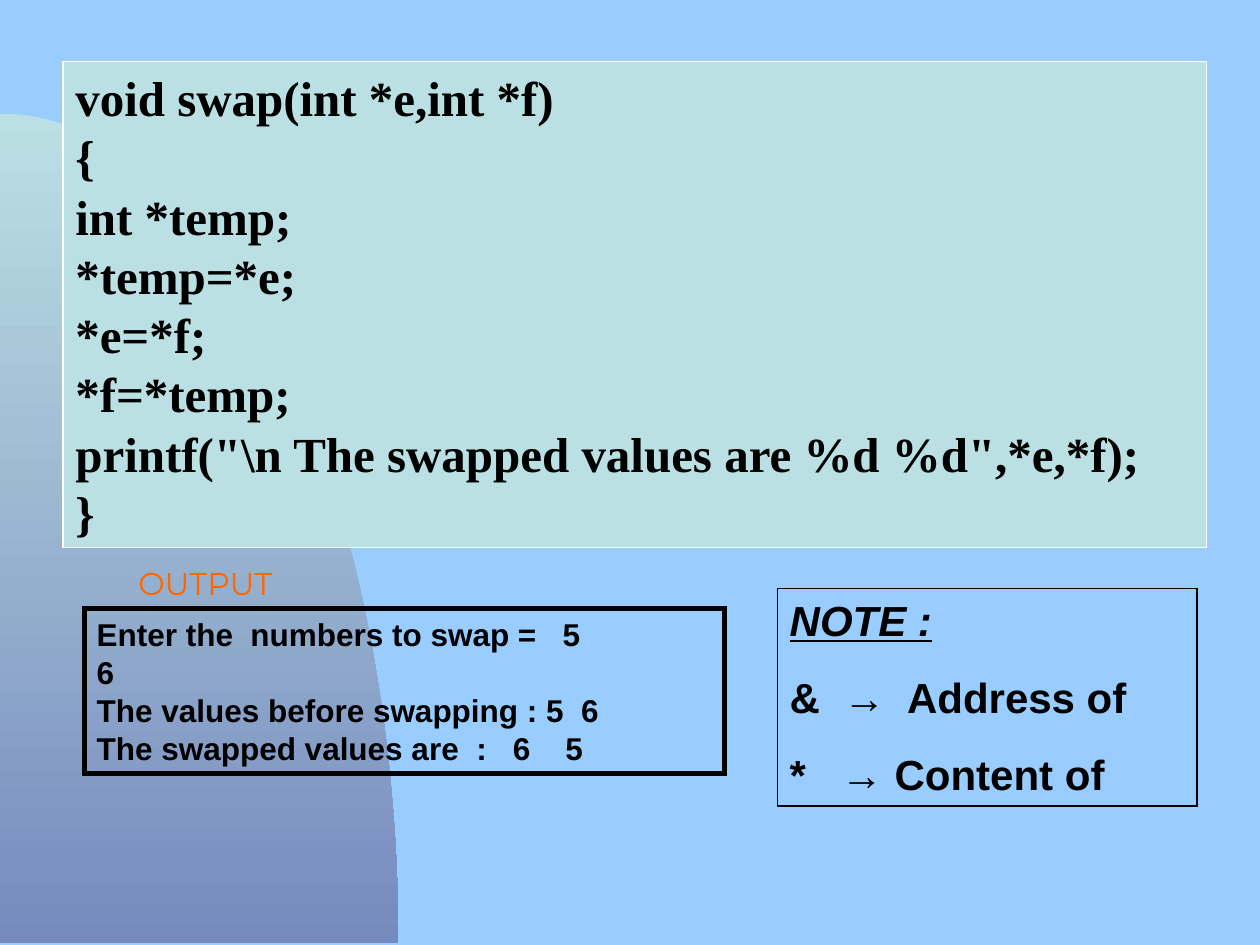
import math

from lxml import etree
from pptx import Presentation
from pptx import util as u
from pptx.dml.color import RGBColor
from pptx.enum import shapes, text
from pptx.oxml import ns

COLORS = {
    "sky": "99CCFF",
    "mint": "BBE0E3",
    "dusk": "778ABE",
    "black": "000000",
    "white": "FFFFFF",
    "orange": "FF6600",
}
CODE = [
    "void swap(int *e,int *f)",
    "{",
    "int *temp;",
    "*temp=*e;",
    "*e=*f;",
    "*f=*temp;",
    'printf("\\n The swapped values are %d %d",*e,*f);',
    "}",
]
OUTPUT = [
    "Enter the  numbers to swap =   5",
    "6",
    "The values before swapping : 5  6",
    "The swapped values are  :   6    5",
]
NOTES = ["NOTE :", "&  →  Address of", "*   → Content of"]


def color(name):
    return RGBColor.from_string(COLORS[name])


def add_quarter_ellipse(slide, left, top, width, height):
    """Gradient background curve, from the top left to the bottom right of its box."""
    steps = 60
    angles = [math.pi / 2 * step / steps for step in range(steps + 1)]
    points = [
        (u.Cm(left + width * math.sin(a)), u.Cm(top + height * (1 - math.cos(a))))
        for a in angles
    ]
    builder = slide.shapes.build_freeform(*points[0])
    builder.add_line_segments(points[1:] + [(u.Cm(left), u.Cm(top + height))])
    curve = builder.convert_to_shape()
    curve.shadow.inherit = False
    curve.line.fill.background()
    curve.fill.gradient()
    curve.fill.gradient_angle = 270
    for stop, name in zip(curve.fill.gradient_stops, ("mint", "dusk")):
        stop.color.rgb = color(name)


def add_lines(frame, lines, font, size, bold=True, before=0.1, ink="black",
              align=text.PP_ALIGN.LEFT):
    """Write one paragraph per line and return the runs."""
    runs = []
    for index, line in enumerate(lines):
        paragraph = frame.paragraphs[0] if index == 0 else frame.add_paragraph()
        paragraph.alignment = align
        paragraph.space_before = u.Pt(before)
        paragraph.space_after = u.Pt(0.1)
        run = paragraph.add_run()
        run.text = line
        run.font.name = font
        run.font.size = u.Pt(size)
        run.font.bold = bold
        run.font.color.rgb = color(ink)
        runs.append(run)
    return runs


def add_panel(slide, box, line, line_width, fill=None):
    """Add a rectangle with a square-cornered border and return its text frame."""
    panel = slide.shapes.add_shape(
        shapes.MSO_SHAPE.RECTANGLE, *[u.Cm(length) for length in box])
    panel.shadow.inherit = False
    panel.line.color.rgb = color(line)
    panel.line.width = u.Pt(line_width)
    border = panel._element.spPr.find(ns.qn("a:ln"))
    etree.SubElement(border, ns.qn("a:miter"), lim="800000")
    if fill:
        panel.fill.solid()
        panel.fill.fore_color.rgb = color(fill)
    else:
        panel.fill.background()
    frame = panel.text_frame
    frame.word_wrap = True
    frame.vertical_anchor = text.MSO_ANCHOR.TOP
    return frame


def add_code(slide, box):
    frame = add_panel(slide, box, "white", 0.75, "mint")
    add_lines(frame, CODE, "Times New Roman", 28)


def add_note(slide, box):
    frame = add_panel(slide, box, "black", 0.75)
    heading = add_lines(frame, NOTES, "Arial", 24, before=15.1)[0]
    heading.font.italic = True
    heading.font.underline = True


def add_output(slide, left, top, width, height):
    """Orange caption above a thick-bordered console panel."""
    caption_height = 0.84
    caption = slide.shapes.add_textbox(
        u.Cm(left), u.Cm(top), u.Cm(4.88), u.Cm(0.64))
    frame = caption.text_frame
    frame.word_wrap = False
    frame.vertical_anchor = text.MSO_ANCHOR.MIDDLE
    run = add_lines(frame, ["OUTPUT"], "Montserrat", 18, bold=False,
                    ink="orange", align=text.PP_ALIGN.CENTER)[0]
    outline = etree.Element(ns.qn("a:ln"), w=str(u.Pt(0.75)))
    outline_fill = etree.SubElement(outline, ns.qn("a:solidFill"))
    etree.SubElement(outline_fill, ns.qn("a:srgbClr"), val=COLORS["black"])
    run.font._element.insert(0, outline)

    console = (left, top + caption_height, width, height - caption_height)
    add_lines(add_panel(slide, console, "black", 3), OUTPUT, "Arial", 18)


def main():
    presentation = Presentation()
    presentation.slide_width, presentation.slide_height = u.Cm(25.4), u.Cm(19.05)
    slide = presentation.slides.add_slide(presentation.slide_layouts[6])
    slide.background.fill.solid()
    slide.background.fill.fore_color.rgb = color("sky")
    add_quarter_ellipse(slide, 0, 2.29, 8.03, 16.73)
    add_code(slide, (1.27, 1.24, 23.06, 9.8))
    add_note(slide, (15.67, 11.86, 8.46, 4.39))
    add_output(slide, 1.7, 11.43, 12.9, 4.17)
    presentation.save("out.pptx")


if __name__ == "__main__":
    main()
